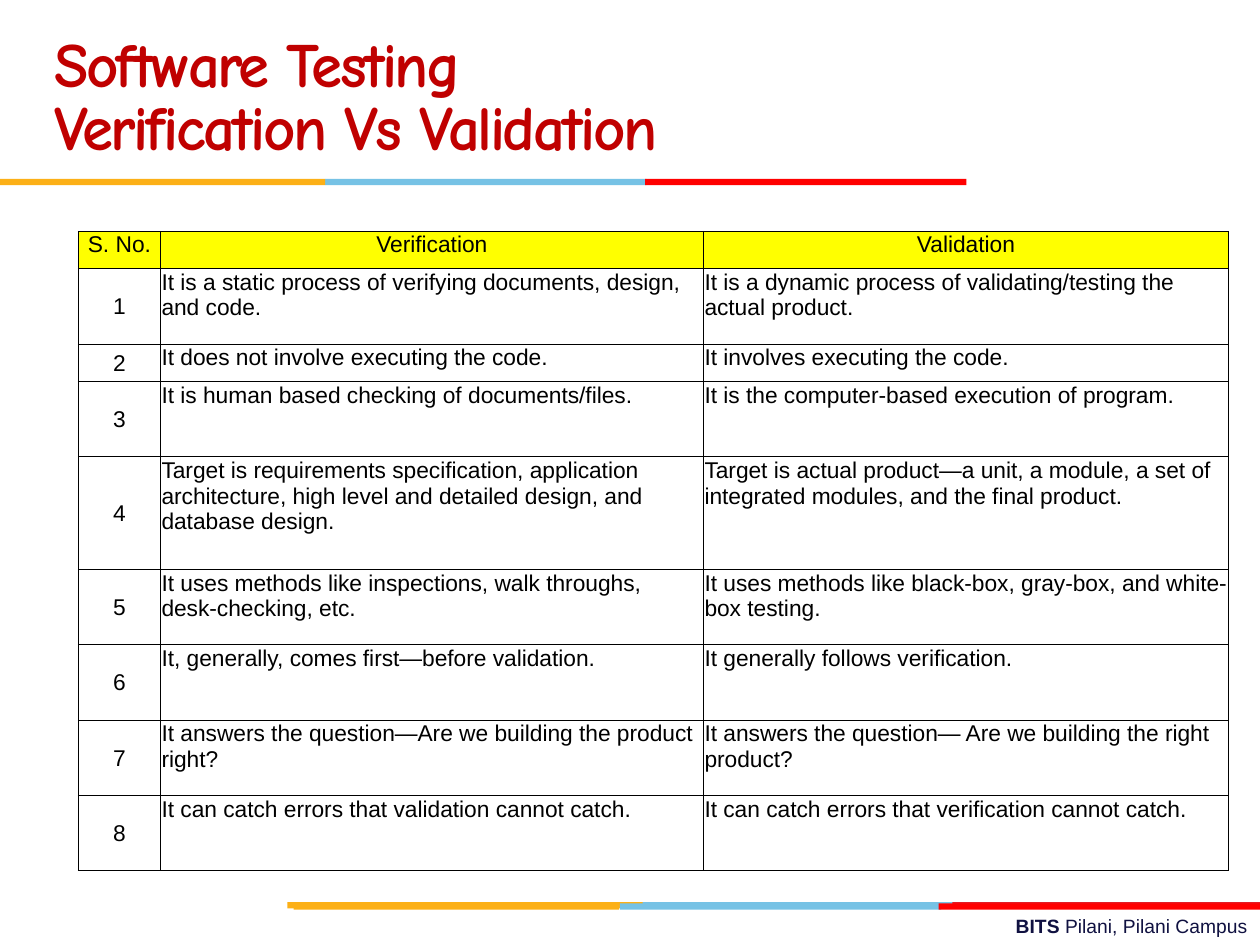
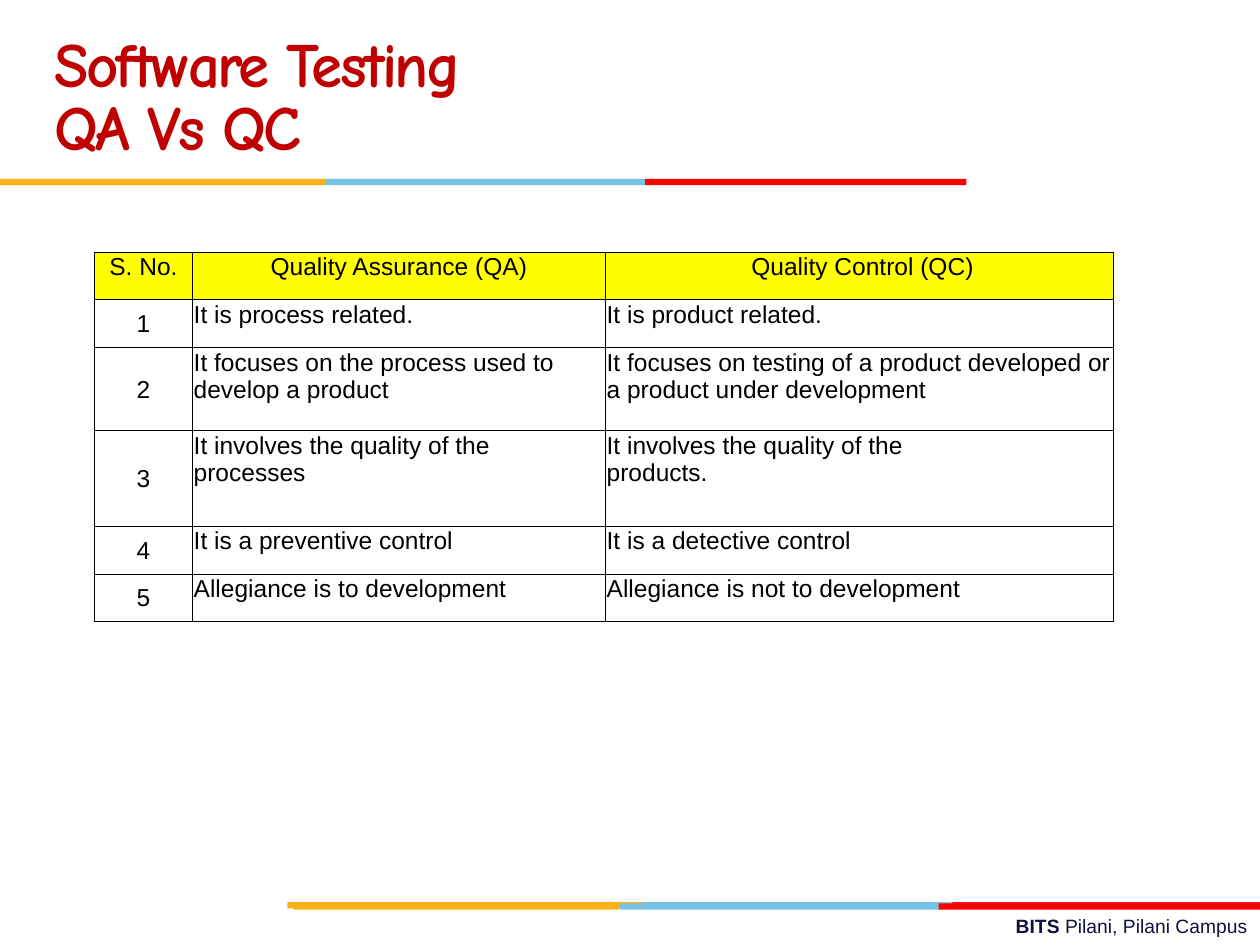
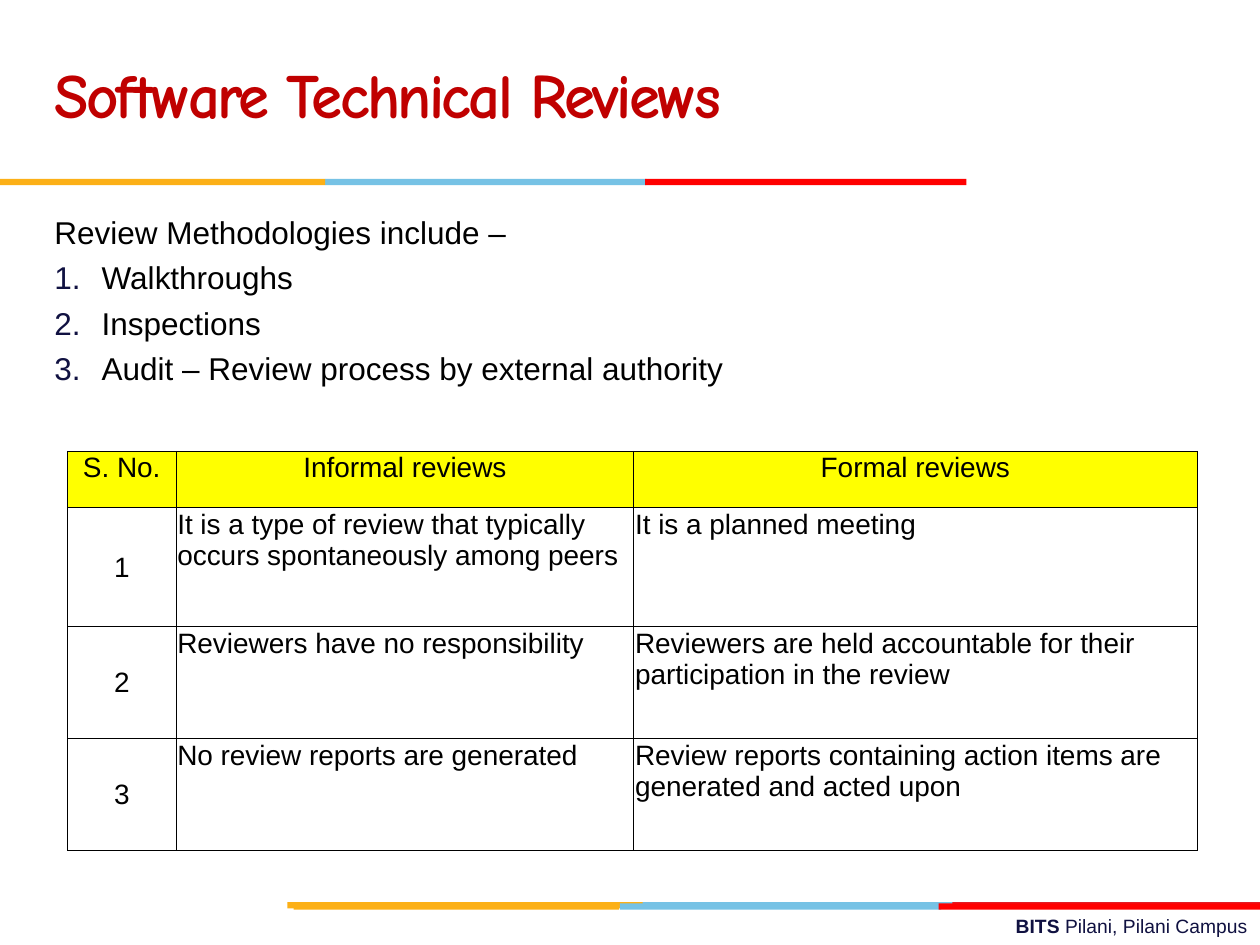
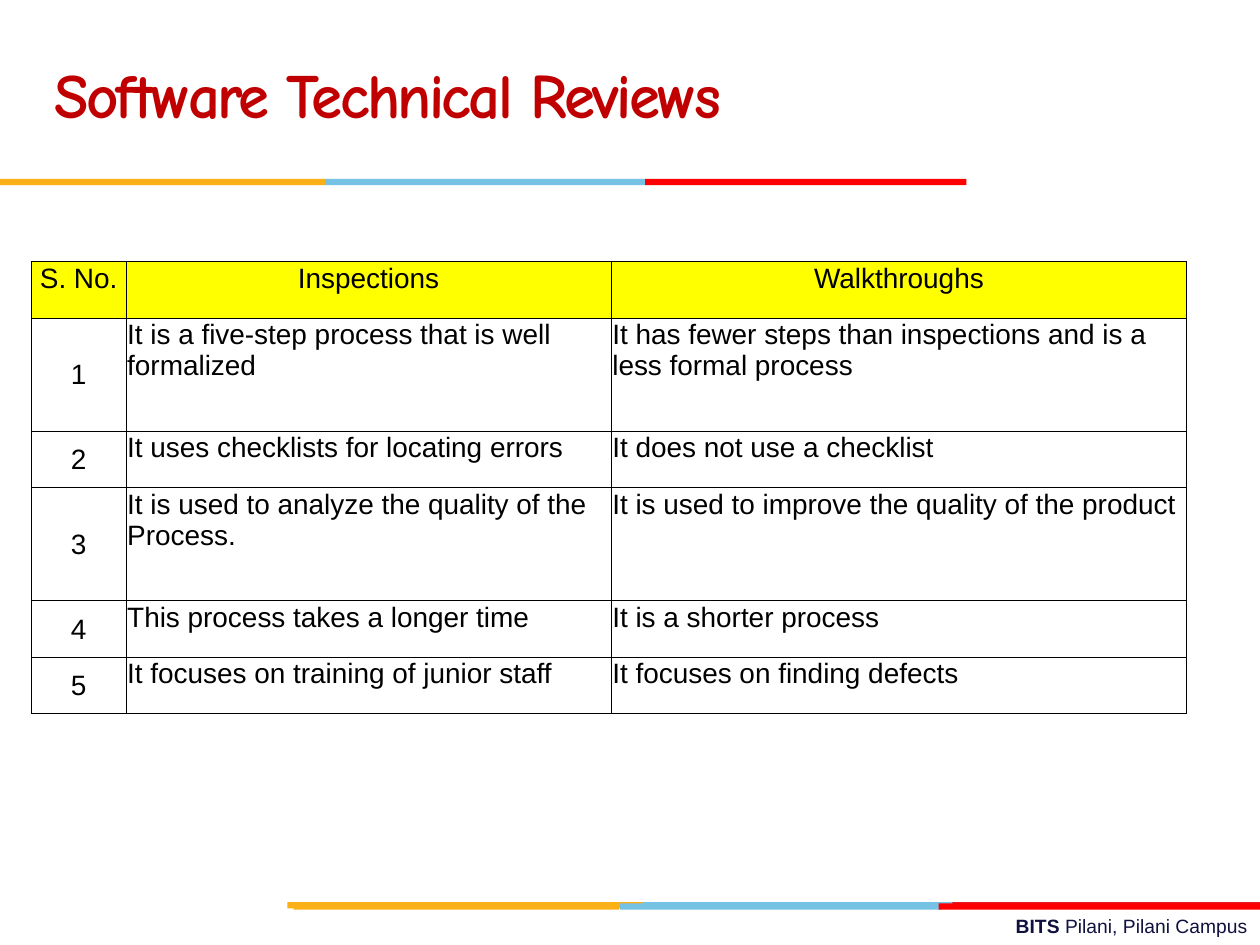
from lxml.etree import SubElement
from pptx import Presentation
from pptx.dml.color import RGBColor
from pptx.enum.shapes import MSO_SHAPE as Shape
from pptx.enum.text import MSO_ANCHOR as Anchor, MSO_AUTO_SIZE as AutoSize, PP_ALIGN as Align
from pptx.oxml.ns import qn
from pptx.util import Pt

BLACK = RGBColor(0x00, 0x00, 0x00)
NAVY = RGBColor(0x10, 0x11, 0x41)
TITLE_RED = RGBColor(0xC0, 0x00, 0x00)
YELLOW = RGBColor(0xFF, 0xFF, 0x00)
AMBER = RGBColor(0xFC, 0xB0, 0x17)
SKY = RGBColor(0x76, 0xC2, 0xE5)
RED = RGBColor(0xFF, 0x00, 0x00)
CRIMSON = RGBColor(0xE3, 0x1C, 0x24)

BODY_FONT = "Arial"
TITLE_FONT = "Comic Neue"
TITLE_ONLY = 5
BAND_HEIGHT = 3.6

# Each band: top, then (left, width, colour) of its parts from back to front
BANDS = [
    (515.5, [(364.3, 183.6, SKY), (544.3, 175.7, CRIMSON), (164.2, 203, AMBER)]),
    (516.2, [(354.2, 183.6, SKY), (167.8, 185.8, AMBER), (536.4, 183.6, RED)]),
    (102.2, [(185.8, 183.6, SKY), (0, 185.8, AMBER), (368.6, 183.6, RED)]),
]


class Builder:
    def __init__(self):
        self.deck = Presentation()
        self.deck.slide_width, self.deck.slide_height = Pt(720), Pt(540)
        self.page = None

    def new_page(self, *title_lines):
        self.page = self.deck.slides.add_slide(self.deck.slide_layouts[TITLE_ONLY])
        self.bands()
        self.footer()
        self.title(title_lines)

    def bands(self):
        for top, parts in BANDS:
            for left, width, color in parts:
                bar = self.page.shapes.add_shape(
                    Shape.RECTANGLE, Pt(left), Pt(top), Pt(width), Pt(BAND_HEIGHT))
                bar.shadow.inherit = False
                bar.fill.solid()
                bar.fill.fore_color.rgb = color
                bar.line.fill.background()

    def span(self, para, text, size, color=BLACK, font=BODY_FONT, bold=False):
        span = para.add_run()
        span.text = text
        span.font.name, span.font.size, span.font.bold = font, Pt(size), bold
        span.font.color.rgb = color
        return span

    def box(self, left, top, width, height):
        frame = self.page.shapes.add_textbox(
            Pt(left), Pt(top), Pt(width), Pt(height)).text_frame
        frame.word_wrap = True
        return frame

    def footer(self):
        para = self.box(257.8, 519.1, 462.2, 20.9).paragraphs[0]
        para.alignment = Align.RIGHT
        self.span(para, "BITS ", 11, NAVY, bold=True)
        self.span(para, "Pilani, Pilani Campus", 11, NAVY)

    def title(self, lines):
        title = self.page.shapes.title
        title.left, title.top, title.width, title.height = Pt(24), Pt(12), Pt(498), Pt(90)
        frame = title.text_frame
        frame.auto_size = AutoSize.NONE
        frame.vertical_anchor = Anchor.MIDDLE
        for index, line in enumerate(lines):
            para = frame.add_paragraph() if index else frame.paragraphs[0]
            para.alignment = Align.LEFT
            para.line_spacing = Pt(36)
            span = self.span(para, line, 36, TITLE_RED, TITLE_FONT, bold=True)
            span.font._element.set("spc", "-150")

    def numbered_list(self, left, top, width, height, heading, items):
        frame = self.box(left, top, width, height)
        self.span(frame.paragraphs[0], heading, 18)
        for item in items:
            para = frame.add_paragraph()
            para.space_before = Pt(4.4)
            props = para._p.get_or_add_pPr()
            props.set("marL", str(Pt(27)))
            props.set("indent", str(Pt(-27)))
            bullet_color = SubElement(props, qn("a:buClr"))
            SubElement(bullet_color, qn("a:srgbClr"), val=str(NAVY))
            SubElement(props, qn("a:buAutoNum"), type="arabicPeriod")
            self.span(para, item, 18)

    def borders(self, cell):
        props = cell._tc.get_or_add_tcPr()
        for side in ("lnL", "lnR", "lnT", "lnB"):
            line = SubElement(props, qn(f"a:{side}"), w=str(Pt(0.5)))
            fill = SubElement(line, qn("a:solidFill"))
            SubElement(fill, qn("a:srgbClr"), val=str(BLACK))

    def cell(self, cell, text, size, is_header, is_number, space_after):
        cell.margin_left = cell.margin_right = cell.margin_top = Pt(0.72)
        cell.margin_bottom = 0
        self.borders(cell)
        if is_header:
            cell.fill.solid()
            cell.fill.fore_color.rgb = YELLOW
        else:
            cell.fill.background()
        para = cell.text_frame.paragraphs[0]
        if is_header or is_number:
            para.alignment = Align.CENTER
        elif space_after:
            para.space_after = Pt(space_after)
        if is_number and not is_header:
            cell.vertical_anchor = Anchor.MIDDLE
        for index, line in enumerate(text.split("\n")):
            if index:
                para.add_line_break()
            self.span(para, line, size)

    def comparison(self, left, top, widths, heights, size, headings, pairs, space_after=0):
        """Table of numbered pairs under a yellow heading row."""
        rows = [("S. No.", *headings)]
        rows += [(str(number), *pair) for number, pair in enumerate(pairs, 1)]
        table = self.page.shapes.add_table(
            len(rows), len(widths), Pt(left), Pt(top),
            Pt(sum(widths)), Pt(sum(heights))).table
        table.first_row = table.horz_banding = False
        for column, width in zip(table.columns, widths):
            column.width = Pt(width)
        for row, height in zip(table.rows, heights):
            row.height = Pt(height)
        for r, row in enumerate(rows):
            for c, text in enumerate(row):
                self.cell(table.cell(r, c), text, size, r == 0, c == 0, space_after)


def main():
    show = Builder()

    # Verification and validation
    show.new_page("Software Testing", "Verification Vs Validation")
    show.comparison(
        44.8, 132.1, [46.8, 310.3, 300.2],
        [21.5 * lines for lines in (1, 2, 1, 2, 3, 2, 2, 2, 2)], 13,
        ("Verification", "Validation"),
        [
            ("It is a static process of verifying documents, design, and code.",
             "It is a dynamic process of validating/testing the actual product."),
            ("It does not involve executing the code.",
             "It involves executing the code."),
            ("It is human based checking of documents/files.",
             "It is the computer-based execution of program."),
            ("Target is requirements specification, application architecture, "
             "high level and detailed design, and database design.",
             "Target is actual product—a unit, a module, a set of integrated "
             "modules, and the final product."),
            ("It uses methods like inspections, walk throughs, desk-checking, etc.",
             "It uses methods like black-box, gray-box, and white-box testing."),
            ("It, generally, comes first—before validation.",
             "It generally follows verification."),
            ("It answers the question—Are we building the product right?",
             "It answers the question— Are we building the right product?"),
            ("It can catch errors that validation cannot catch.",
             "It can catch errors that verification cannot catch."),
        ], space_after=6)

    # Quality assurance and quality control
    show.new_page("Software Testing", "QA Vs QC")
    show.comparison(
        54, 144, [56, 236, 290], [27.3, 27.3, 47.5, 54.6, 27.3, 27.3], 14,
        ("Quality Assurance (QA)", " Quality Control (QC)"),
        [
            ("It is process related.", "It is product related."),
            ("It focuses on the process used to develop a product",
             "It focuses on testing of a product developed or a product under development"),
            ("It involves the quality of the\nprocesses",
             "It involves the quality of the\nproducts."),
            ("It is a preventive control", "It is a detective control"),
            ("Allegiance is to development", "Allegiance is not to development"),
        ])

    # Review methods, informal and formal reviews
    show.new_page("Software Technical Reviews")
    show.numbered_list(
        24, 118, 672, 120, "Review Methodologies include –",
        ["Walkthroughs", "Inspections", "Audit – Review process by external authority"])
    show.comparison(
        38.6, 257.8, [62, 261.6, 321.8], [32.3, 68, 64, 64], 16,
        ("Informal reviews", "Formal reviews"),
        [
            ("It is a type of review that typically occurs spontaneously among peers",
             "It is a planned meeting"),
            ("Reviewers have no responsibility",
             "Reviewers are held accountable for their participation in the review"),
            ("No review reports are generated",
             "Review reports containing action items are generated and acted upon"),
        ])

    # Inspections and walkthroughs
    show.new_page("Software Technical Reviews")
    show.comparison(
        18, 149.5, [54, 277.2, 329],
        [32.3 * lines for lines in (1, 2, 1, 2, 1, 1)], 16,
        ("Inspections", "Walkthroughs"),
        [
            ("It is a five-step process that is well formalized",
             "It has fewer steps than inspections and is a less formal process"),
            ("It uses checklists for locating errors", "It does not use a checklist"),
            ("It is used to analyze the quality of the Process.",
             "It is used to improve the quality of the product"),
            ("This process takes a longer time", "It is a shorter process"),
            ("It focuses on training of junior staff", "It focuses on finding defects"),
        ])

    show.deck.save("out.pptx")


if __name__ == "__main__":
    main()
